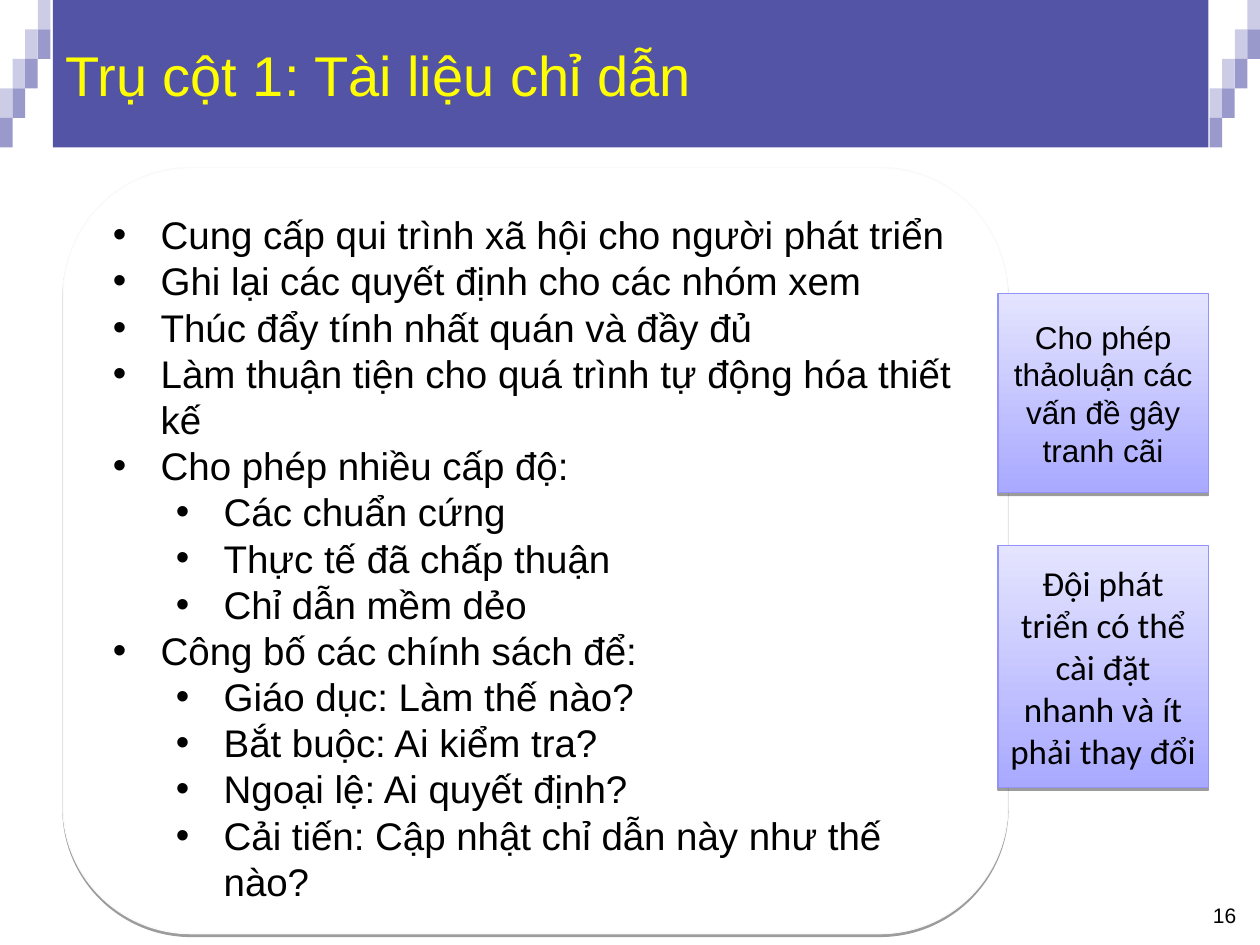
"""Builds the slide on guideline documents as the first pillar."""
from lxml import etree
from pptx import Presentation
from pptx.dml.color import RGBColor
from pptx.enum.shapes import MSO_SHAPE
from pptx.enum.text import MSO_ANCHOR, PP_ALIGN
from pptx.oxml.ns import qn
from pptx.util import Inches, Pt

RECTANGLE, ROUNDED = MSO_SHAPE.RECTANGLE, MSO_SHAPE.ROUNDED_RECTANGLE
TOP, MIDDLE, BOTTOM = MSO_ANCHOR.TOP, MSO_ANCHOR.MIDDLE, MSO_ANCHOR.BOTTOM
LEFT, CENTER, RIGHT = PP_ALIGN.LEFT, PP_ALIGN.CENTER, PP_ALIGN.RIGHT

TITLE = "Trụ cột 1: Tài liệu chỉ dẫn"
BULLETS = [
    (0, "Cung cấp qui trình xã hội cho người phát triển"),
    (0, "Ghi lại các quyết định cho các nhóm xem"),
    (0, "Thúc đẩy tính nhất quán và đầy đủ"),
    (0, "Làm thuận tiện cho quá trình tự động hóa thiết kế"),
    (0, "Cho phép nhiều cấp độ:"),
    (1, "Các chuẩn cứng"),
    (1, "Thực tế đã chấp thuận"),
    (1, "Chỉ dẫn mềm dẻo"),
    (0, "Công bố các chính sách để:"),
    (1, "Giáo dục: Làm thế nào?"),
    (1, "Bắt buộc: Ai kiểm tra?"),
    (1, "Ngoại lệ: Ai quyết định?"),
    (1, "Cải tiến: Cập nhật chỉ dẫn này như thế nào?"),
]
NOTES = [
    (4.33, 1.92, "Đội phát triển có thể cài đặt nhanh và ít phải thay đổi", 20, "Calibri"),
    (2.33, 1.58, "Cho phép thảoluận các vấn đề gây tranh cãi", 18, "Arial"),
]
HEADER_HEIGHT = 1.17


def color(value):
    return RGBColor.from_string(value)


class SlideBuilder:
    def __init__(self, slide, font="Arial", text_color="000000"):
        self.slide = slide
        self.font = font
        self.text_color = text_color

    def box(self, bounds, fill, kind=RECTANGLE, line=None, container=None):
        shapes = (container or self.slide).shapes
        shape = shapes.add_shape(kind, *map(Inches, bounds))
        shape.shadow.inherit = False
        if isinstance(fill, tuple):
            shape.fill.gradient()
            shape.fill.gradient_angle = 90
            for stop, position, value in zip(shape.fill.gradient_stops, (0, 1), fill):
                stop.position = position
                stop.color.rgb = color(value)
        else:
            shape.fill.solid()
            shape.fill.fore_color.rgb = color(fill)
        if line:
            shape.line.color.rgb = color(line)
            shape.line.width = Pt(0.75)
        else:
            shape.line.fill.background()
        return shape

    def raised_box(self, bounds, fill, line, kind=RECTANGLE):
        shape = self.box(bounds, fill, kind, line)
        effects = shape._element.spPr.find(qn("a:effectLst"))
        shadow = etree.SubElement(effects, qn("a:outerShdw"), blurRad="0",
                                  dist=str(Pt(1.6)), dir="5400000", rotWithShape="0")
        shade = etree.SubElement(shadow, qn("a:srgbClr"), val="000000")
        etree.SubElement(shade, qn("a:alpha"), val="38000")
        return shape

    def add_text(self, shape, items, size, anchor=MIDDLE, align=LEFT,
                 font=None, text_color=None, bullets=False):
        frame = shape.text_frame
        frame.word_wrap = True
        frame.vertical_anchor = anchor
        for index, (level, text) in enumerate(items):
            paragraph = frame.paragraphs[0] if index == 0 else frame.add_paragraph()
            paragraph.alignment = align
            paragraph.level = level
            if bullets:
                self.bullet(paragraph, level)
            run = paragraph.add_run()
            run.text = text
            run.font.size = Pt(size)
            run.font.name = font or self.font
            run.font.color.rgb = color(text_color or self.text_color)

    def bullet(self, paragraph, level):
        properties = paragraph._p.get_or_add_pPr()
        properties.set("marL", str(Inches(0.38 + 0.5 * level)))
        properties.set("indent", str(Inches(-0.38)))
        bullet_color = etree.SubElement(properties, qn("a:buClr"))
        etree.SubElement(bullet_color, qn("a:srgbClr"), val=self.text_color)
        etree.SubElement(properties, qn("a:buFont"), typeface=self.font)
        etree.SubElement(properties, qn("a:buChar"), char="•")

    def stairs(self, left):
        group = self.slide.shapes.add_group_shape()
        height = HEADER_HEIGHT / 5
        for offset, fill in enumerate(("CCCCE6", "9999CC")):
            for column in range(4):
                row = 3 - column + offset
                self.box((left + 0.1 * column, height * row, 0.1, height), fill,
                         container=group)

    def header(self, text):
        shape = self.box((0.42, 0, 9.17, HEADER_HEIGHT), "00007D")
        fill = shape._element.spPr.find(qn("a:solidFill"))
        etree.SubElement(fill[0], qn("a:alpha"), val="67000")
        self.add_text(shape, [(0, text)], 32, text_color="FFFF00")

    def panel(self, bounds, items):
        shape = self.raised_box(bounds, "FFFFFF", "F9F9F9", ROUNDED)
        shape.adjustments[0] = 0.167
        self.add_text(shape, items, 22, TOP, bullets=True)

    def note(self, top, height, text, size, font):
        shape = self.raised_box((7.92, top, 1.67, height), ("A9A9FF", "E4E4FF"), "9393FC")
        self.add_text(shape, [(0, text)], size, align=CENTER, font=font)

    def page_number(self, text):
        shape = self.slide.shapes.add_textbox(*map(Inches, (7.58, 7.08, 2.33, 0.33)))
        self.add_text(shape, [(0, text)], 12, BOTTOM, RIGHT)


def main():
    presentation = Presentation()
    presentation.slide_width = Inches(10)
    presentation.slide_height = Inches(7.5)
    builder = SlideBuilder(presentation.slides.add_slide(presentation.slide_layouts[6]))
    for left in (0, 9.6):
        builder.stairs(left)
    builder.header(TITLE)
    builder.panel((0.5, 1.33, 7.5, 6.08), BULLETS)
    for note in NOTES:
        builder.note(*note)
    builder.page_number("16")
    presentation.save("out.pptx")


if __name__ == "__main__":
    main()
